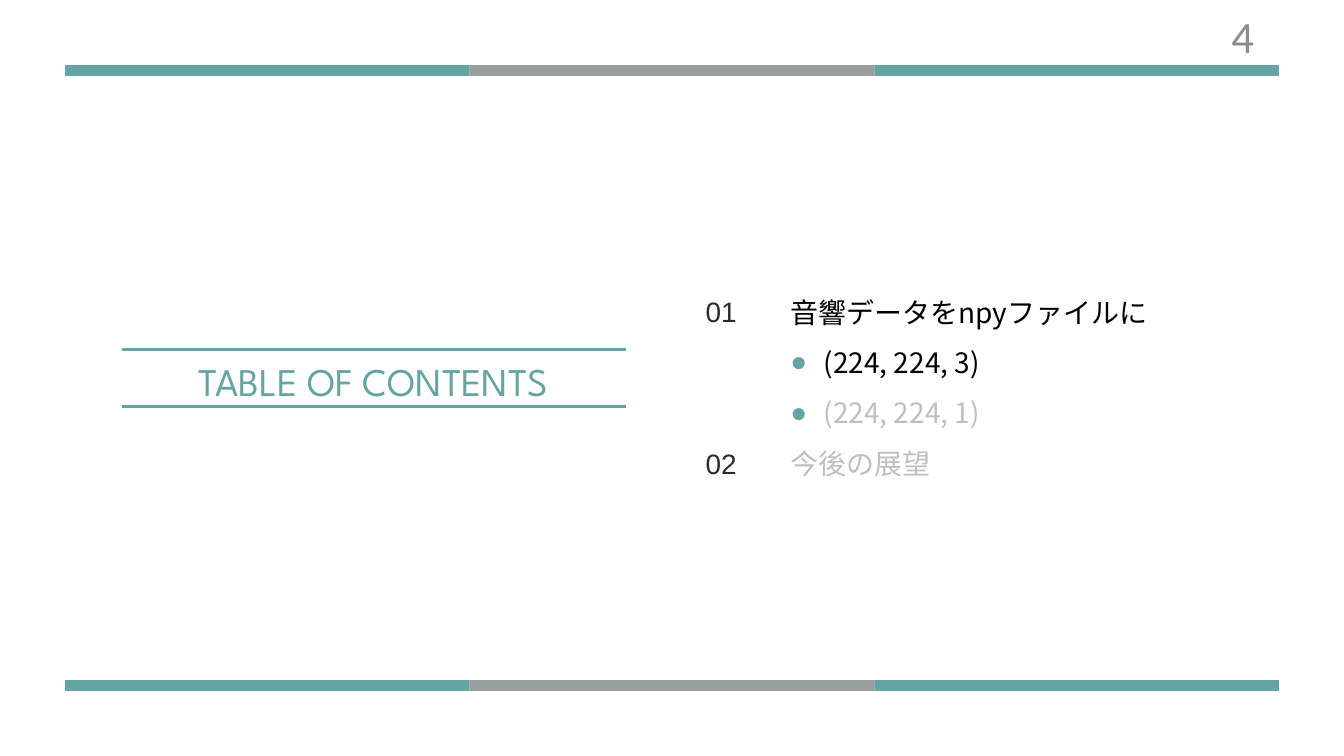
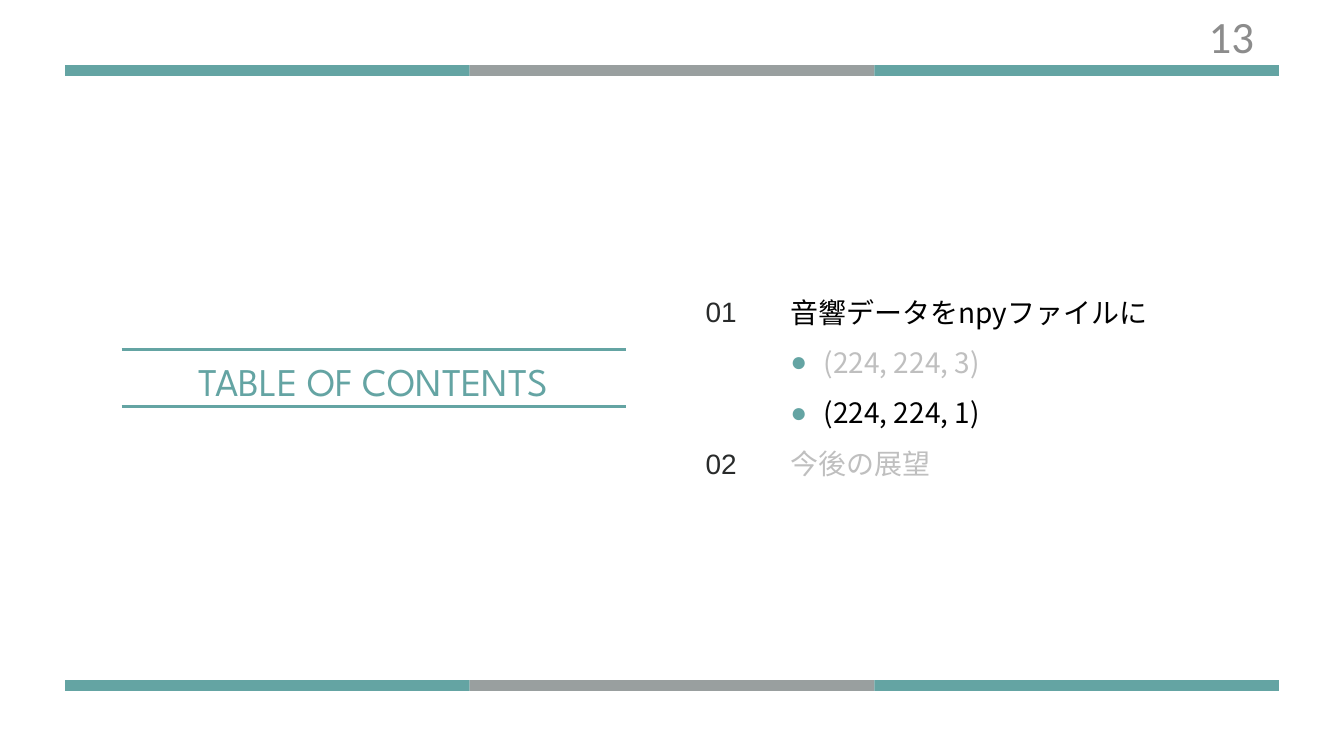
from lxml.etree import SubElement
from pptx import Presentation
from pptx.dml.color import RGBColor
from pptx.enum.shapes import MSO_CONNECTOR, MSO_SHAPE
from pptx.enum.text import MSO_ANCHOR, PP_ALIGN
from pptx.oxml.ns import qn
from pptx.util import Inches, Pt

TEAL = RGBColor(0x64, 0xA4, 0xA3)
GREY = RGBColor(0x99, 0x9F, 0x9F)
BLACK = RGBColor(0x00, 0x00, 0x00)
DIMMED = RGBColor(0xBF, 0xBF, 0xBF)
NUMBER_INK = RGBColor(0x29, 0x2B, 0x2B)
PAGE_INK = RGBColor(0x8C, 0x8C, 0x8C)

BODY_FONT = "Noto Sans CJK SC"
TITLE_FONT = "League Spartan"
NUMBER_FONT = "Arial"
PAGE_FONT = "Calibri"

ROW_PITCH = 54
BAND_LEFT, BAND_WIDTH, BAND_HEIGHT = 0.97, 6.02, 0.16
BAND_TOPS = (0.97, 10.12)
RULE_LEFT, RULE_RIGHT = 1.81, 9.31
RULE_TOPS = (5.2, 6.05)

TOPICS = (
    ("音響データをnpyファイルに", False),
    ("(224, 224, 3)", True),
    ("(224, 224, 1)", True),
    ("今後の展望", False),
)
AGENDAS = (("4", (0, 1)), ("13", (0, 2)))


def add_band(page, top):
    """Draw one three-part band across the page."""
    for index, color in enumerate((TEAL, GREY, TEAL)):
        part = page.shapes.add_shape(
            MSO_SHAPE.RECTANGLE, Inches(BAND_LEFT + index * BAND_WIDTH),
            Inches(top), Inches(BAND_WIDTH), Inches(BAND_HEIGHT))
        part.shadow.inherit = False
        part.fill.solid()
        part.fill.fore_color.rgb = color
        part.line.fill.background()


def add_rule(page, top):
    """Draw one horizontal line beside the title."""
    rule = page.shapes.add_connector(
        MSO_CONNECTOR.STRAIGHT, Inches(RULE_LEFT), Inches(top),
        Inches(RULE_RIGHT), Inches(top))
    rule.line.color.rgb = TEAL
    rule.line.width = Pt(3)
    SubElement(rule._element.spPr, qn("a:effectLst"))


def add_frame(page, left, top, width, height, inset=0):
    """Add a wrapping text box and return its text frame."""
    box = page.shapes.add_textbox(
        Inches(left), Inches(top), Inches(width), Inches(height))
    frame = box.text_frame
    frame.word_wrap = True
    frame.margin_left = frame.margin_right = Inches(inset)
    frame.margin_top = frame.margin_bottom = Inches(inset / 2)
    return frame


def style_text(para, font_name, size, color):
    """Format every run of a paragraph, for Latin and East Asian script."""
    for span in para.runs:
        span.font.name = font_name
        span.font.size = Pt(size)
        span.font.color.rgb = color
        latin = span.font._element.find(qn("a:latin"))
        east_asian = latin.makeelement(qn("a:ea"), {"typeface": font_name})
        latin.addnext(east_asian)


def add_bullet(para):
    """Give a paragraph a teal bullet and a hanging indent."""
    properties = para._p.get_or_add_pPr()
    properties.set("marL", str(Inches(0.5)))
    properties.set("indent", str(-Inches(0.5)))
    color = SubElement(properties, qn("a:buClr"))
    SubElement(color, qn("a:srgbClr"), val=str(TEAL))
    SubElement(properties, qn("a:buFont"), typeface=NUMBER_FONT)
    SubElement(properties, qn("a:buChar"), char="●")


def add_topics(page, active):
    """List the topics, dimming those that are not active."""
    frame = add_frame(page, 11.76, 4.14, 5.65, 2.95)
    frame.text = "\n".join(topic for topic, _ in TOPICS)
    for index, para in enumerate(frame.paragraphs):
        if TOPICS[index][1]:
            add_bullet(para)
        para.line_spacing = Pt(ROW_PITCH)
        style_text(para, BODY_FONT, 30, BLACK if index in active else DIMMED)


def add_numbers(page):
    """Number the main topics, leaving room for the sub-topics."""
    frame = add_frame(page, 10.5, 4.14, 1.26, 2.96)
    frame.text = "01\n02"
    for para in frame.paragraphs:
        para.line_spacing = Pt(ROW_PITCH)
        style_text(para, NUMBER_FONT, 30, NUMBER_INK)
    sub_topics = sum(is_sub for _, is_sub in TOPICS)
    frame.paragraphs[1].space_before = Pt(sub_topics * ROW_PITCH)


def add_title(page):
    """Write the title between its two lines."""
    frame = add_frame(page, 2.01, 5.2, 7.1, 0.78)
    frame.text = "TABLE OF CONTENTS"
    para = frame.paragraphs[0]
    para.alignment = PP_ALIGN.CENTER
    para.line_spacing = Pt(58.8)
    style_text(para, TITLE_FONT, 42, TEAL)
    for top in RULE_TOPS:
        add_rule(page, top)


def add_page_number(page, number):
    """Write the page number at the top right."""
    frame = add_frame(page, 16.43, 0.33, 2.33, 0.4, inset=0.1)
    frame.vertical_anchor = MSO_ANCHOR.MIDDLE
    frame.text = number
    para = frame.paragraphs[0]
    para.alignment = PP_ALIGN.RIGHT
    style_text(para, PAGE_FONT, 48, PAGE_INK)


def add_agenda(deck, number, active):
    """Build one contents page."""
    page = deck.slides.add_slide(deck.slide_layouts[6])
    for top in BAND_TOPS:
        add_band(page, top)
    add_topics(page, active)
    add_numbers(page)
    add_title(page)
    add_page_number(page, number)


def main():
    """Build and save the deck."""
    deck = Presentation()
    deck.slide_width = Inches(20)
    deck.slide_height = Inches(11.25)
    for number, active in AGENDAS:
        add_agenda(deck, number, active)
    deck.save("out.pptx")


if __name__ == "__main__":
    main()
